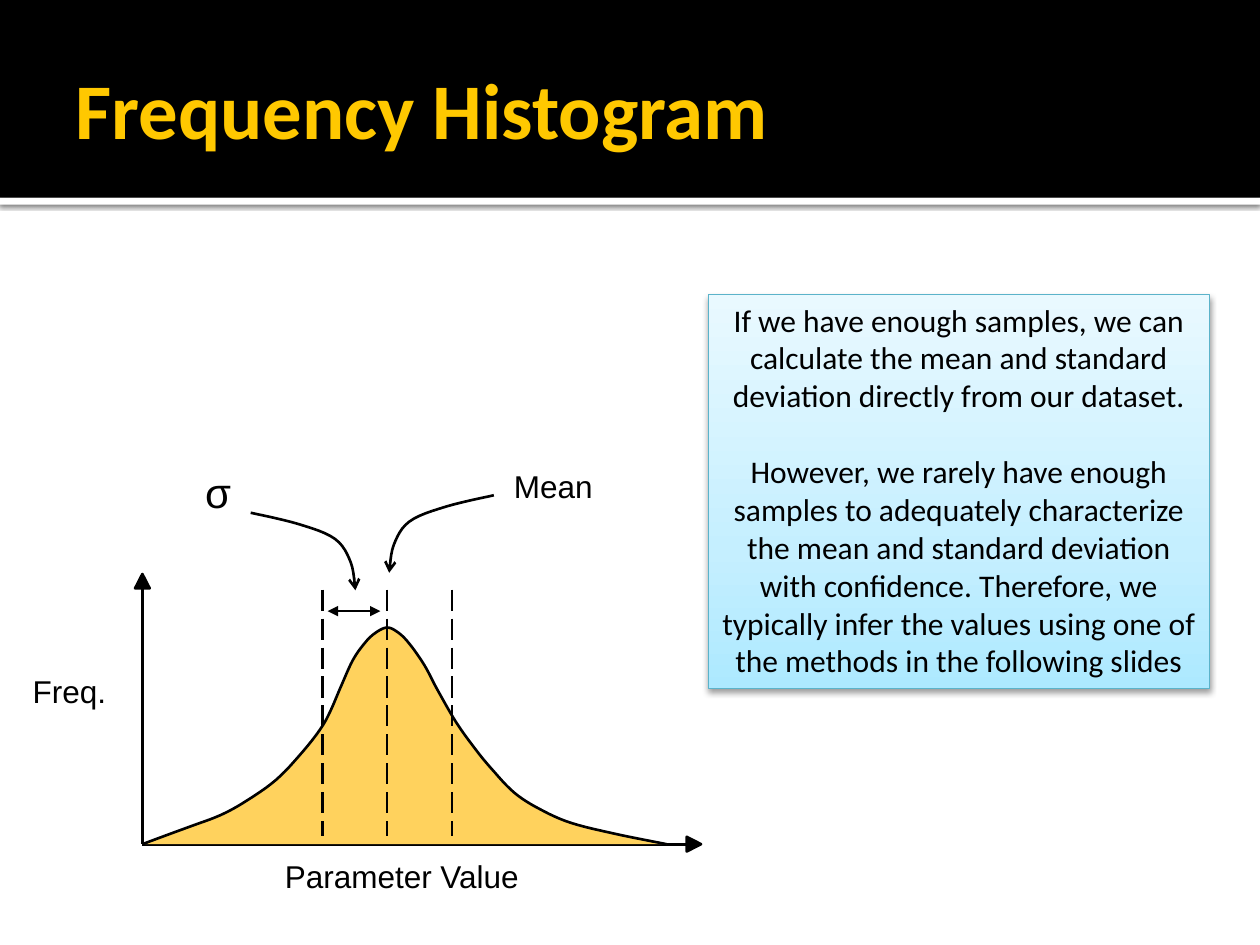
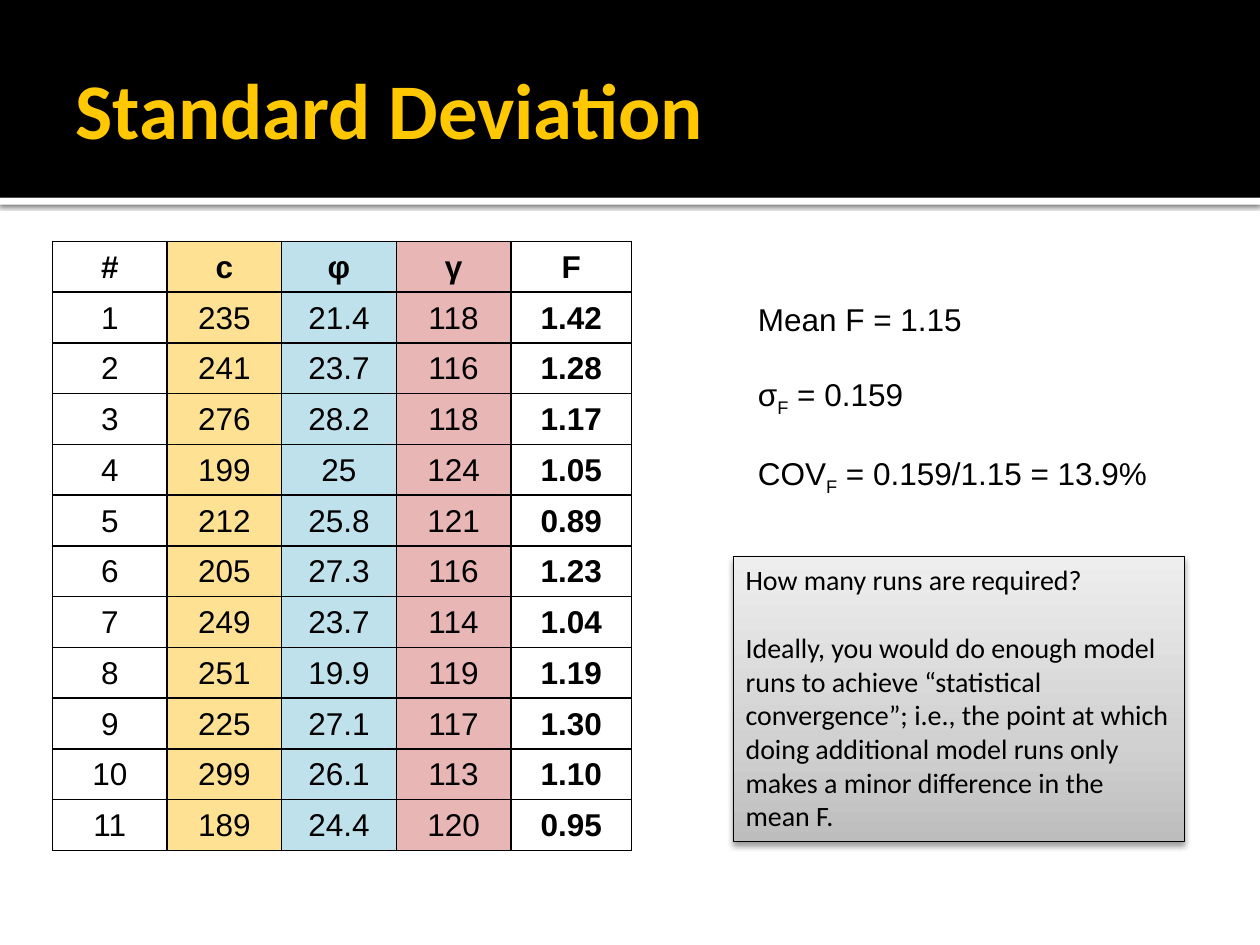
from lxml.etree import SubElement
from pptx import Presentation
from pptx.dml.color import RGBColor
from pptx.enum.dml import MSO_LINE
from pptx.enum.shapes import MSO_CONNECTOR, MSO_SHAPE
from pptx.enum.text import MSO_ANCHOR as Anchor, MSO_AUTO_SIZE, PP_ALIGN as Align
from pptx.oxml.ns import qn
from pptx.util import Pt

BLACK = RGBColor(0x00, 0x00, 0x00)
WHITE = RGBColor(0xFF, 0xFF, 0xFF)
GOLD = RGBColor(0xFF, 0xC8, 0x00)
BELL_YELLOW = RGBColor(0xFF, 0xD2, 0x5D)
COHESION_YELLOW = RGBColor(0xFF, 0xE1, 0x93)
FRICTION_BLUE = RGBColor(0xBF, 0xE1, 0xEB)
WEIGHT_PINK = RGBColor(0xE8, 0xB6, 0xB5)
NOTE_BORDER = RGBColor(0x5B, 0xB3, 0xCA)
BLUE_STOPS = [(0, RGBColor(0xAD, 0xE9, 0xFF)), (35, RGBColor(0xC5, 0xEF, 0xFF)),
              (100, RGBColor(0xE9, 0xF9, 0xFF))]
GRAY_STOPS = [(0, RGBColor(0xBD, 0xBD, 0xBD)), (35, RGBColor(0xD1, 0xD1, 0xD1)),
              (100, RGBColor(0xEE, 0xEE, 0xEE))]

HISTOGRAM_TITLE = "Frequency Histogram"
SAMPLES_NOTE = [
    "If we have enough samples, we can calculate the mean and standard deviation "
    "directly from our dataset.",
    "However, we rarely have enough samples to adequately characterize the mean and "
    "standard deviation with confidence. Therefore, we typically infer the values "
    "using one of the methods in the following slides",
]
LABELS = [
    ("Freq.", (2.2, 380.2, 74.9, 32.4), 18, Align.CENTER, True),
    ("Parameter Value", (134.6, 486, 190, 32.4), 18, Align.CENTER, True),
    ("σ", (110.2, 262.8, 31, 41), 24, Align.LEFT, False),
    ("Mean", (286.6, 263.5, 63.4, 32.4), 18, Align.LEFT, False),
]
ORIGIN = (81.4, 482.4)
AXIS_TOP = 336.2
AXIS_RIGHT = 392.4
HEAD_LENGTH, HEAD_HALF_WIDTH = 8.2, 4.2
BELL = [
    ORIGIN, (92.9, 478.1), (108.7, 472.3), (126, 465.8), (140.4, 457.9),
    (157.7, 445.7), (172.1, 430.6), (182.9, 416.9), (188.6, 406.8), (195.1, 391.7),
    (201.6, 377.3), (208.1, 367.9), (213.8, 362.2), (221, 358.6), (227.5, 361.4),
    (234, 367.9), (242.6, 380.2), (249.8, 393.8), (260.6, 412.6), (271.4, 427.7),
    (280.8, 439.2), (293.8, 452.9), (308.2, 462.2), (326.2, 470.2), (352.1, 476.6),
    (380.9, 482.4),
]
MEAN_X, SIGMA_WIDTH = 221.2, 37
DASH_TOP, DASH_BOTTOM = 337, 478
SIGMA_ARROW = ((187.2, 349.2), (217.4, 349.2))
POINTER = [(0, 0), (27.4, 6.5), (48.2, 15), (57.2, 28.5), (59.8, 44.3)]
POINTER_STARTS = [((282.2, 283), -1), ((143.3, 293), 1)]

DEVIATION_TITLE = "Standard Deviation"
HEADERS = ["#", "c", "φ", "γ", "F"]
RUNS = [
    (235, "21.4", 118, "1.42"), (241, "23.7", 116, "1.28"),
    (276, "28.2", 118, "1.17"), (199, "25", 124, "1.05"),
    (212, "25.8", 121, "0.89"), (205, "27.3", 116, "1.23"),
    (249, "23.7", 114, "1.04"), (251, "19.9", 119, "1.19"),
    (225, "27.1", 117, "1.30"), (299, "26.1", 113, "1.10"),
    (189, "24.4", 120, "0.95"),
]
COLUMN_FILLS = [None, COHESION_YELLOW, FRICTION_BLUE, WEIGHT_PINK, None]
COLUMN_WIDTHS = [65.5, 65.5, 65.5, 65.5, 69]
ROW_HEIGHT = 29
STATISTICS = ["Mean F = 1.15", ("σ", "F", " = 0.159"),
              ("COV", "F", " = 0.159/1.15 = 13.9%")]
CONVERGENCE_NOTE = [
    "How many runs are required?",
    "Ideally, you would do enough model runs to achieve “statistical convergence”; "
    "i.e., the point at which doing additional model runs only makes a minor "
    "difference in the mean F.",
]


def points(values):
    return [Pt(value) for value in values]


def write_text(frame, paragraphs, font="Arial", size=18, color=BLACK, bold=False,
               align=Align.LEFT, anchor=Anchor.TOP, gap=0, wrap=True):
    frame.word_wrap = wrap
    frame.auto_size = MSO_AUTO_SIZE.NONE
    frame.vertical_anchor = anchor
    for index, parts in enumerate(paragraphs):
        paragraph = frame.add_paragraph() if index else frame.paragraphs[0]
        paragraph.alignment = align
        if index:
            paragraph.space_before = Pt(gap)
        for position, part in enumerate([parts] if isinstance(parts, str) else parts):
            run = paragraph.add_run()
            run.text = part
            run.font.name, run.font.size, run.font.bold = font, Pt(size), bold
            run.font.color.rgb = color
            if position == 1:
                run.font._element.set("baseline", "-25000")


def add_label(slide, text, box, **text_format):
    write_text(slide.shapes.add_textbox(*points(box)).text_frame, text, **text_format)


def add_shadow(shape, opacity, blur, distance):
    shape.shadow.inherit = False
    effects = shape.element.spPr.find(qn("a:effectLst"))
    shadow = SubElement(effects, qn("a:outerShdw"), blurRad=str(Pt(blur)),
                        dist=str(Pt(distance)), dir="5400000", algn="t", rotWithShape="0")
    color = SubElement(shadow, qn("a:srgbClr"), val=str(BLACK))
    SubElement(color, qn("a:alpha"), val=str(opacity * 1000))


def add_rectangle(slide, box):
    shape = slide.shapes.add_shape(MSO_SHAPE.RECTANGLE, *points(box))
    shape.shadow.inherit = False
    return shape


def add_note(slide, box, paragraphs, stops, border, **text_format):
    note = add_rectangle(slide, box)
    note.fill.gradient()
    note.fill.gradient_angle = 90
    stop_list = note.element.spPr.find(".//" + qn("a:gsLst"))
    stop_list.clear()
    for position, color in stops:
        stop = SubElement(stop_list, qn("a:gs"), pos=str(position * 1000))
        SubElement(stop, qn("a:srgbClr"), val=str(color))
    note.line.color.rgb = border
    note.line.width = Pt(0.5)
    add_shadow(note, 38, 3.5, 2)
    write_text(note.text_frame, paragraphs, font="Calibri", **text_format)


def style_line(shape, head=None, tail=None):
    shape.line.color.rgb = BLACK
    shape.line.width = Pt(1.5)
    line = shape.element.spPr.find(qn("a:ln"))
    for end, kind in (("a:headEnd", head), ("a:tailEnd", tail)):
        if kind:
            SubElement(line, qn(end), type=kind)


def add_line(slide, start, end, **ends):
    line = slide.shapes.add_connector(MSO_CONNECTOR.STRAIGHT, *points(start + end))
    style_line(line, **ends)
    SubElement(line.element.spPr, qn("a:effectLst"))
    return line


def add_outline(slide, knots, fill=None, close=False, **ends):
    builder = slide.shapes.build_freeform(*points(knots[0]))
    builder.add_line_segments([points(knot) for knot in knots[1:]], close=close)
    outline = builder.convert_to_shape()
    outline.shadow.inherit = False
    if fill is None:
        outline.fill.background()
    else:
        outline.fill.solid()
        outline.fill.fore_color.rgb = fill
    style_line(outline, **ends)


def smooth_curve(knots, steps=6):
    padded = [knots[0], *knots, knots[-1]]
    curve = [knots[0]]
    for window in zip(padded, padded[1:], padded[2:], padded[3:]):
        for step in range(1, steps + 1):
            t = step / steps
            curve.append(tuple(
                b + t * (c - a) / 2 + t**2 * (2 * a - 5 * b + 4 * c - d) / 2
                + t**3 * (3 * b - a - 3 * c + d) / 2
                for a, b, c, d in zip(*window)))
    return curve


def add_bands_to_layout(slide):
    bands = [((0, 113, 720, 4), WHITE), ((0, 0, 720, 113), BLACK)]
    for index, (box, color) in enumerate(bands):
        band = add_rectangle(slide, box)
        band.fill.solid()
        band.fill.fore_color.rgb = color
        band.line.fill.background()
        if color == WHITE:
            add_shadow(band, 60, 2.5, 0.8)
        slide.slide_layout.shapes.element.insert(2 + index, band.element)


def add_titled_slide(presentation, text):
    slide = presentation.slides.add_slide(presentation.slide_layouts[5])
    title = slide.shapes.title
    title.left, title.top, title.width, title.height = points((36, 12.2, 648, 98.6))
    frame = title.text_frame
    frame.margin_left = Pt(7.2)
    frame.margin_top = frame.margin_right = frame.margin_bottom = Pt(3.6)
    write_text(frame, [text], font="Calibri", size=45, color=GOLD, bold=True,
               anchor=Anchor.MIDDLE)
    return slide


def draw_histogram(slide):
    x, y = ORIGIN
    add_line(slide, (x, AXIS_TOP), ORIGIN)
    add_line(slide, ORIGIN, (AXIS_RIGHT, y))
    half = HEAD_HALF_WIDTH
    add_outline(slide, [(x + half, AXIS_TOP), (x, AXIS_TOP - HEAD_LENGTH),
                        (x - half, AXIS_TOP)], fill=BLACK, close=True)
    add_outline(slide, [(AXIS_RIGHT, y + half), (AXIS_RIGHT + HEAD_LENGTH, y),
                        (AXIS_RIGHT, y - half)], fill=BLACK, close=True)
    add_outline(slide, smooth_curve(BELL), fill=BELL_YELLOW)
    for offset in (-1, 0, 1):
        dash_x = MEAN_X + offset * SIGMA_WIDTH
        marker = add_line(slide, (dash_x, DASH_TOP), (dash_x, DASH_BOTTOM))
        marker.line.dash_style = MSO_LINE.LONG_DASH
    add_line(slide, *SIGMA_ARROW, head="triangle", tail="triangle")
    for (start_x, start_y), direction in POINTER_STARTS:
        knots = [(start_x + direction * dx, start_y + dy) for dx, dy in POINTER]
        add_outline(slide, smooth_curve(knots), tail="arrow")
    for text, box, size, align, wrap in LABELS:
        add_label(slide, [text], box, size=size, align=align, wrap=wrap)


def add_borders(cell):
    properties = cell._tc.get_or_add_tcPr()
    for side in ("a:lnL", "a:lnR", "a:lnT", "a:lnB"):
        border = SubElement(properties, qn(side), w=str(Pt(1)))
        fill = SubElement(border, qn("a:solidFill"))
        SubElement(fill, qn("a:srgbClr"), val=str(BLACK))


def add_runs_table(slide):
    rows = [HEADERS] + [(number, *run) for number, run in enumerate(RUNS, 1)]
    box = (30, 138, sum(COLUMN_WIDTHS), ROW_HEIGHT * len(rows))
    table = slide.shapes.add_table(len(rows), len(HEADERS), *points(box)).table
    table.first_row = table.horz_banding = False
    for column, width in zip(table.columns, COLUMN_WIDTHS):
        column.width = Pt(width)
    for row_index, values in enumerate(rows):
        table.rows[row_index].height = Pt(ROW_HEIGHT)
        for column_index, value in enumerate(values):
            cell = table.cell(row_index, column_index)
            add_borders(cell)
            fill = COLUMN_FILLS[column_index]
            if fill is None:
                cell.fill.background()
            else:
                cell.fill.solid()
                cell.fill.fore_color.rgb = fill
            cell.margin_left = cell.margin_right = cell.margin_top = Pt(0.7)
            cell.margin_bottom = 0
            write_text(cell.text_frame, [str(value)], align=Align.CENTER,
                       bold=row_index == 0 or HEADERS[column_index] == "F")
            cell.vertical_anchor = Anchor.MIDDLE


def main():
    presentation = Presentation()
    presentation.slide_width, presentation.slide_height = Pt(720), Pt(540)

    histogram = add_titled_slide(presentation, HISTOGRAM_TITLE)
    add_bands_to_layout(histogram)
    draw_histogram(histogram)
    add_note(histogram, (404.6, 168.2, 286.6, 225.2), SAMPLES_NOTE, BLUE_STOPS,
             NOTE_BORDER, size=18, align=Align.CENTER, gap=22)

    deviation = add_titled_slide(presentation, DEVIATION_TITLE)
    add_runs_table(deviation)
    add_label(deviation, STATISTICS, (426, 168, 244, 116.6), gap=21, wrap=False)
    add_note(deviation, (419, 318.2, 257.8, 162.7), CONVERGENCE_NOTE, GRAY_STOPS,
             BLACK, size=16, gap=19.5)

    presentation.save("out.pptx")


if __name__ == "__main__":
    main()
